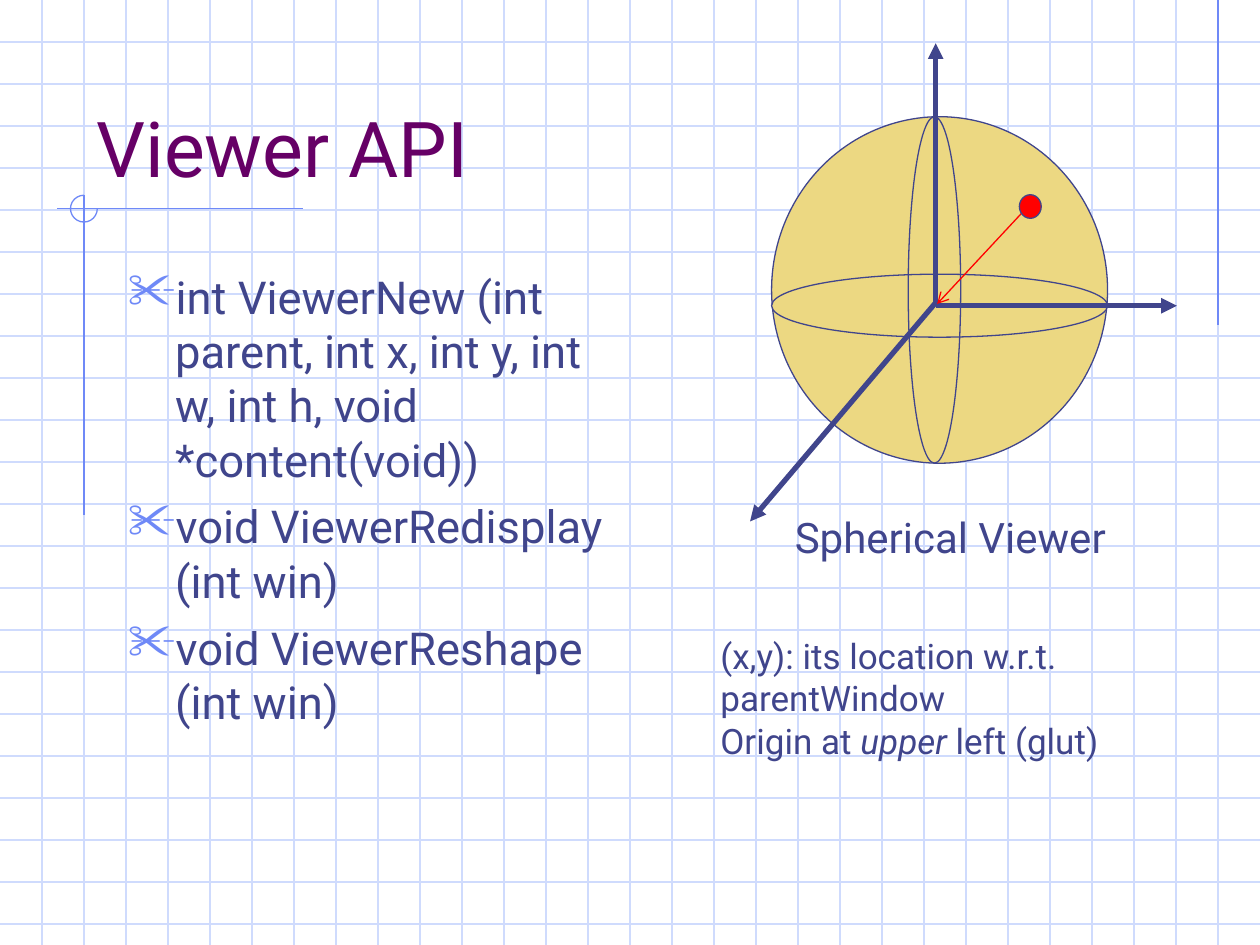
"""Build the Viewer API slide: function list and a spherical viewer diagram on graph paper."""
import lxml.etree
import pptx
import pptx.dml.color
import pptx.enum.shapes
import pptx.enum.text
import pptx.oxml.ns
import pptx.util

Pt = pptx.util.Pt
SHAPES = pptx.enum.shapes.MSO_SHAPE
ANCHOR = pptx.enum.text.MSO_ANCHOR

THEME = {
    "font": "Roboto",
    "grid": "CFDBFD", "accent": "6F89F7", "title": "660066",
    "ink": "40458C", "sphere": "ECD882", "marker": "FF0000",
    "title_size": 44, "body_size": 25.9, "label_size": 24, "note_size": 20,
    "thin": 0.75, "thick": 3,
}
WIDTH, HEIGHT, GRID_STEP = 720, 540, 24

TITLE = [["Viewer API"]]
FUNCTIONS = [
    ["int ViewerNew (int parent, int x, int y, int w, int h, void *content(void))"],
    ["void ViewerRedisplay (int win)"],
    ["void ViewerReshape (int win)"],
]
CAPTION = [["Spherical Viewer"]]
EMPHASIS = "upper"
LOCATION_NOTE = [
    ["(x,y): its location w.r.t. parentWindow"],
    ["Origin at ", EMPHASIS, " left (glut)"],
]

RULES = [(696, 0, 696, 186), (173, 119.3, 32.5, 119.3), (48, 111.6, 48, 294.5)]
CORNER_ARC = (40.3, 111.6, 15.3, 15.3)
SPHERE_OUTLINES = [
    ((440.9, 66.7, 192, 198), "sphere"),
    ((440.9, 156.7, 192, 36), "sphere"),
    ((519, 66.7, 30, 198), None),
]
AXES = [
    (534.7, 174.7, 672.5, 174.7),
    (534.7, 174.7, 534.7, 24.7),
    (534.5, 173.2, 428.6, 298),
]
SIGHT_LINE = (535.5, 173.7, 586, 119.5)
MARKER = (582.5, 111.3, 12.5, 13.5)


def color(key):
    return pptx.dml.color.RGBColor.from_string(THEME[key])


def add_xml(parent, tag, **attributes):
    name = pptx.oxml.ns.qn(tag)
    return lxml.etree.SubElement(parent, name, attributes)


def add_line(slide, ends, ink, weight="thin", head=None, tail=None):
    line = slide.shapes.add_connector(
        pptx.enum.shapes.MSO_CONNECTOR.STRAIGHT, *map(Pt, ends))
    line.line.color.rgb = color(ink)
    line.line.width = Pt(THEME[weight])
    outline = line.line._get_or_add_ln()
    for tag, arrow in (("a:headEnd", head), ("a:tailEnd", tail)):
        if arrow:
            add_xml(outline, tag, type=arrow)
    add_xml(line._element.spPr, "a:effectLst")


def add_outline(slide, preset, box, ink, fill=None):
    outline = slide.shapes.add_shape(preset, *map(Pt, box))
    outline.shadow.inherit = False
    if fill:
        outline.fill.solid()
        outline.fill.fore_color.rgb = color(fill)
    else:
        outline.fill.background()
    outline.line.color.rgb = color(ink)
    outline.line.width = Pt(THEME["thin"])
    return outline


def add_bullet(paragraph):
    paragraph.space_before = Pt(7)
    properties = paragraph._p.get_or_add_pPr()
    properties.set("marL", str(Pt(27)))
    properties.set("indent", str(-Pt(27)))
    bullet_color = add_xml(properties, "a:buClr")
    add_xml(bullet_color, "a:srgbClr", val=THEME["accent"])
    add_xml(properties, "a:buSzPct", val="110000")
    add_xml(properties, "a:buChar", char="✂")


def add_text(slide, box, paragraphs, size, ink="ink", anchor=ANCHOR.TOP,
             wrap=True, bulleted=False):
    frame = slide.shapes.add_textbox(*map(Pt, box)).text_frame
    frame.word_wrap = wrap
    frame.vertical_anchor = anchor
    for index, parts in enumerate(paragraphs):
        paragraph = frame.add_paragraph() if index else frame.paragraphs[0]
        if bulleted:
            add_bullet(paragraph)
        paragraph.font.name = THEME["font"]
        paragraph.font.size = Pt(THEME[size])
        paragraph.font.color.rgb = color(ink)
        for part in parts:
            run = paragraph.add_run()
            run.text = part
            if part == EMPHASIS:
                run.font.italic = True


def draw_graph_paper(slide):
    for y in range(GRID_STEP, HEIGHT, GRID_STEP):
        add_line(slide, (0, y, WIDTH, y), "grid")
    for x in range(GRID_STEP, WIDTH, GRID_STEP):
        add_line(slide, (x, 0, x, HEIGHT), "grid")
    for rule in RULES:
        add_line(slide, rule, "accent")
    arc = add_outline(slide, SHAPES.ARC, CORNER_ARC, "accent")
    arc.adjustments[0] = 0
    arc.adjustments[1] = 162


def draw_viewer(slide):
    for box, fill in SPHERE_OUTLINES:
        add_outline(slide, SHAPES.OVAL, box, "ink", fill)
    for axis in AXES:
        add_line(slide, axis, "ink", "thick", tail="triangle")
    add_text(slide, (447.1, 288.7, 200, 36), CAPTION, "label_size", wrap=False)
    add_line(slide, SIGHT_LINE, "marker", head="arrow")
    add_outline(slide, SHAPES.OVAL, MARKER, "ink", "marker")


def main():
    deck = pptx.Presentation()
    deck.slide_width, deck.slide_height = Pt(WIDTH), Pt(HEIGHT)
    slide = deck.slides.add_slide(deck.slide_layouts[6])
    draw_graph_paper(slide)
    add_text(slide, (48, 24, 612, 90), TITLE, "title_size", "title", ANCHOR.BOTTOM)
    add_text(slide, (66, 150, 300, 324), FUNCTIONS, "body_size", bulleted=True)
    draw_viewer(slide)
    add_text(slide, (404.6, 359.3, 271.4, 79), LOCATION_NOTE, "note_size")
    deck.save("out.pptx")


if __name__ == "__main__":
    main()
